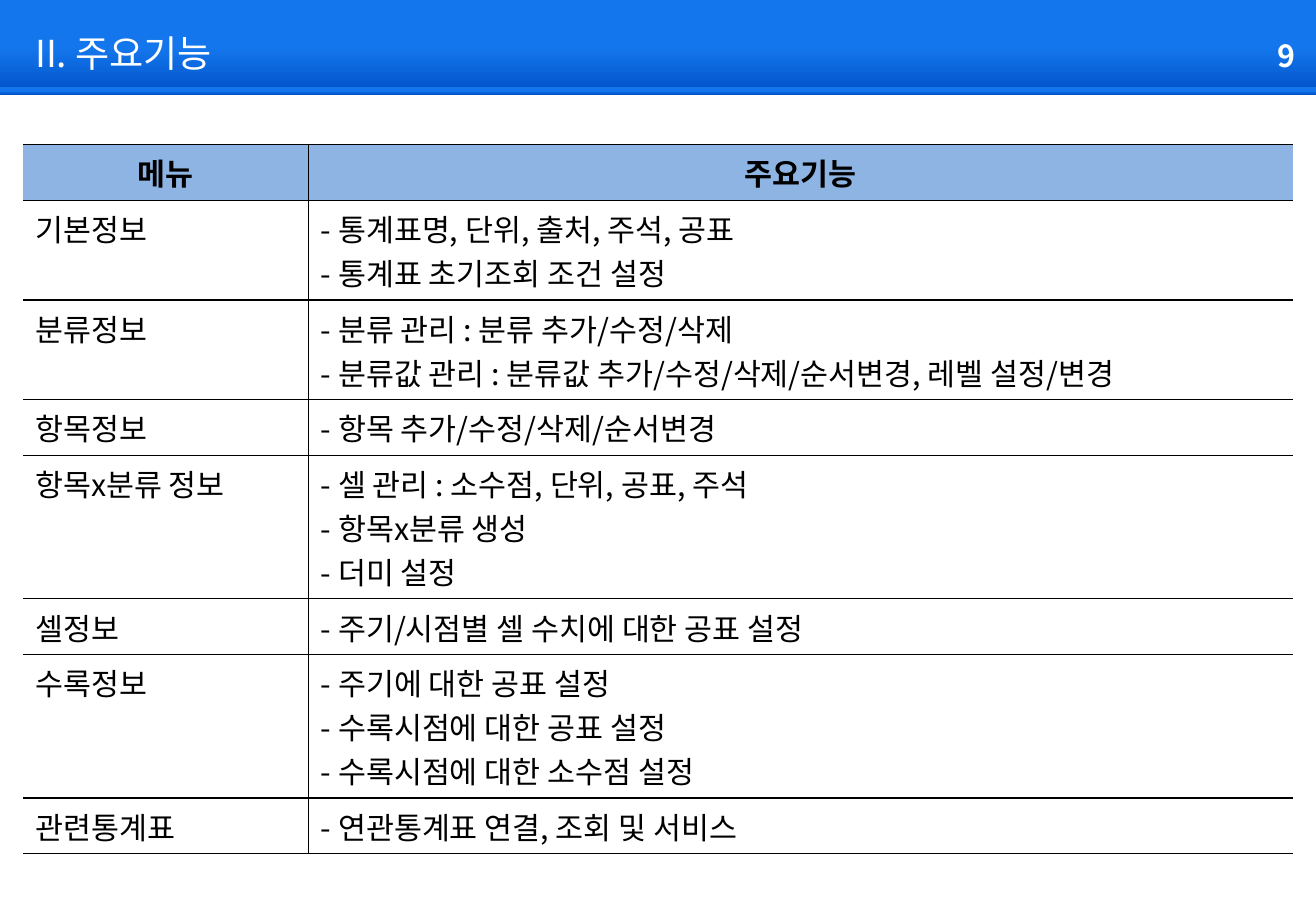
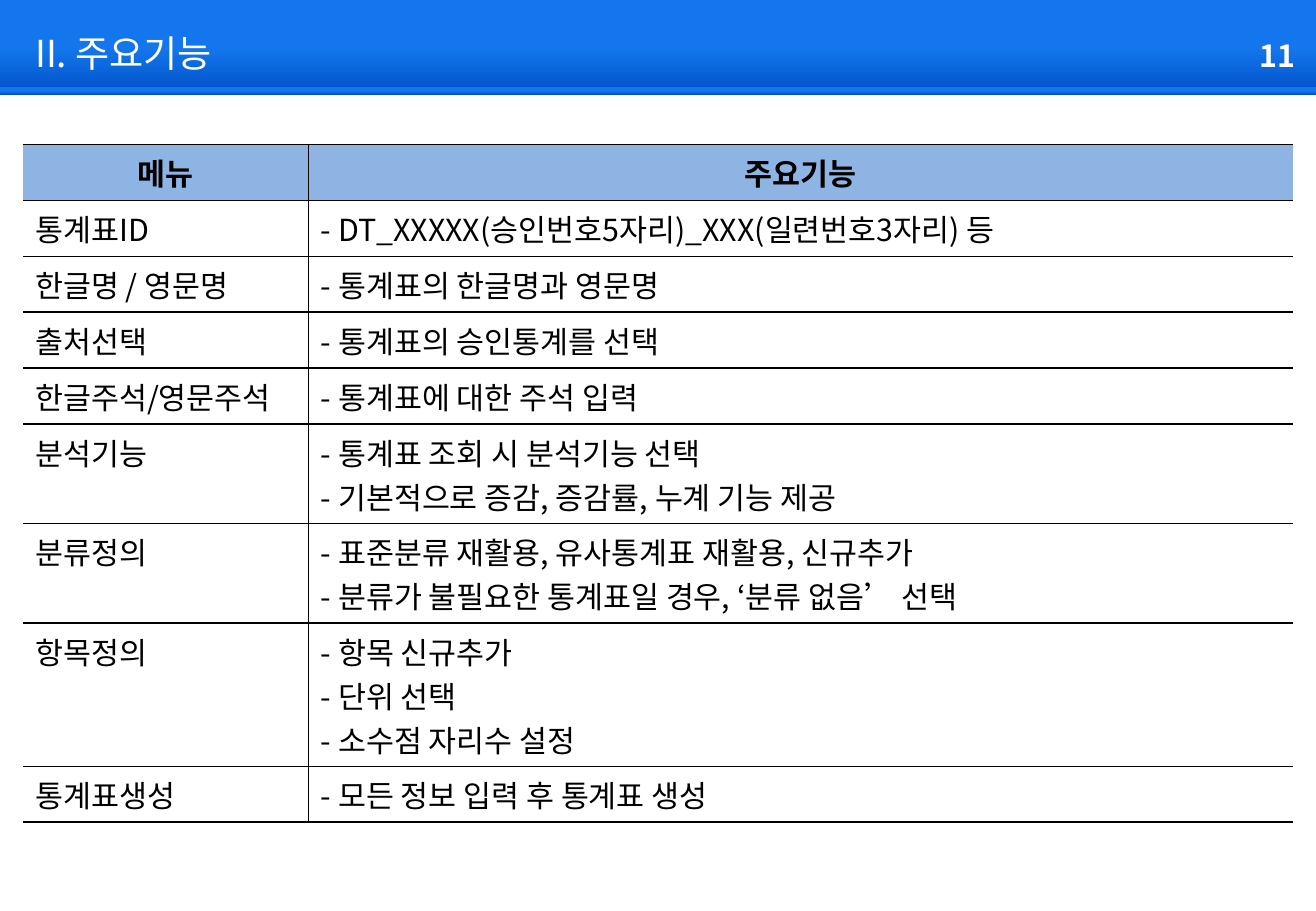
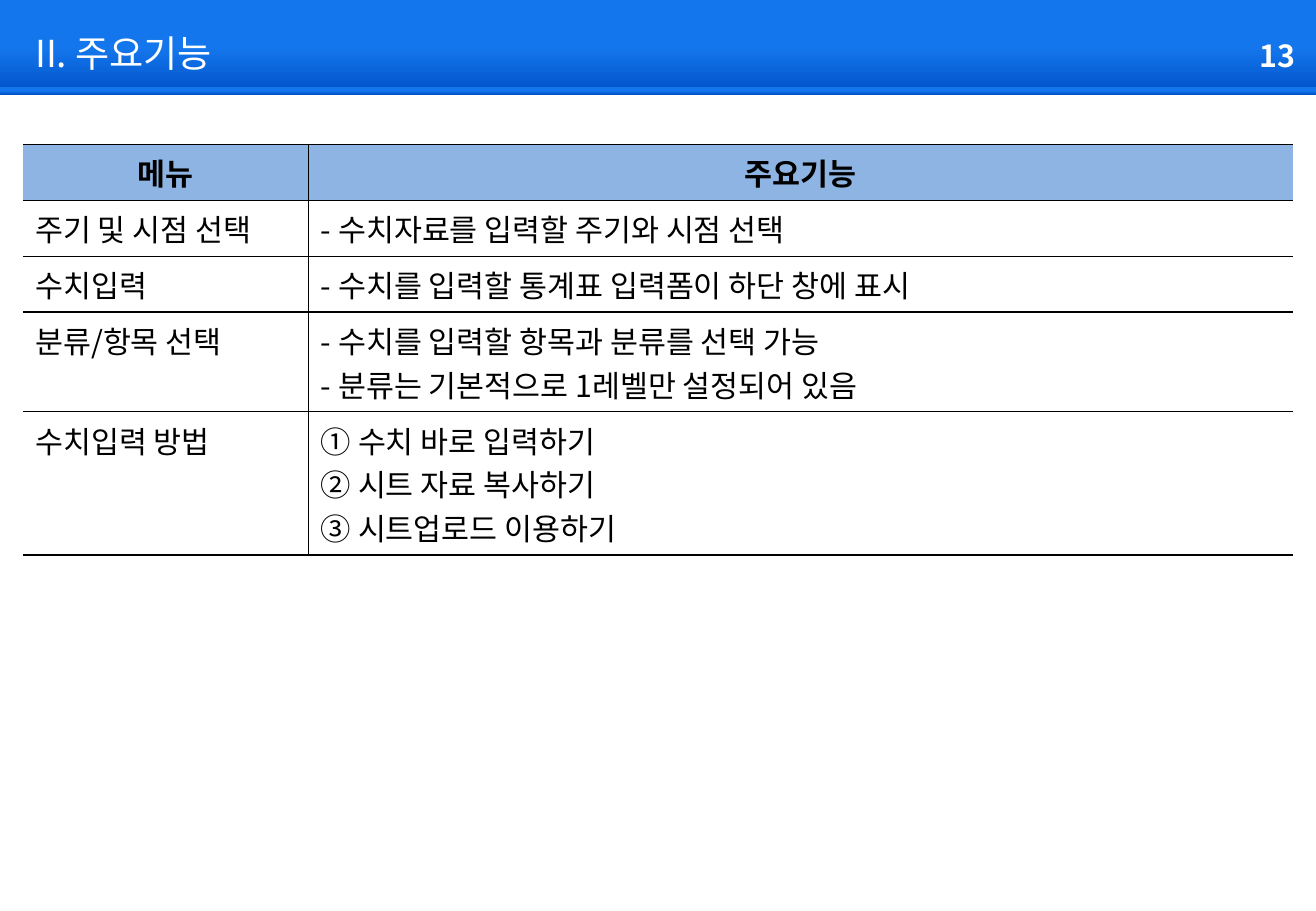
from copy import deepcopy
from dataclasses import dataclass

from lxml.etree import SubElement
from pptx import Presentation
from pptx.dml.color import RGBColor
from pptx.enum.shapes import MSO_SHAPE
from pptx.enum.text import MSO_ANCHOR, PP_ALIGN
from pptx.oxml.ns import qn
from pptx.slide import Slide, SlideLayout
from pptx.table import _Cell
from pptx.text.text import TextFrame
from pptx.util import Emu, Pt

EMU_PER_PX = 9144  # 100 px to the inch
SLIDE_WIDTH, SLIDE_HEIGHT = 1083, 750

BAND_BLUE = RGBColor(0x14, 0x76, 0xEC)
BAND_DARK = RGBColor(0x00, 0x51, 0xC8)
HEADER_BLUE = RGBColor(0x8E, 0xB4, 0xE3)
BLACK = RGBColor(0x00, 0x00, 0x00)
WHITE = RGBColor(0xFF, 0xFF, 0xFF)

FONT = "Noto Sans CJK KR"
TITLE = "II. 주요기능"
HEADINGS = ("메뉴", "주요기능")
TABLE_LEFT, TABLE_TOP = 19, 119
COLUMN_WIDTHS = (235, 810)
LINE_HEIGHT, CELL_PADDING = 36, 10


@dataclass(frozen=True)
class Band:
    top: int
    height: int


@dataclass(frozen=True)
class Menu:
    name: str
    features: tuple[str, ...]


@dataclass(frozen=True)
class FeaturePage:
    number: int
    menus: tuple[Menu, ...]


BANDS = (Band(0, 78), Band(72, 6))

PAGES = (
    FeaturePage(9, (
        Menu("기본정보", ("- 통계표명, 단위, 출처, 주석, 공표",
                      "- 통계표 초기조회 조건 설정")),
        Menu("분류정보", ("- 분류 관리 : 분류 추가/수정/삭제",
                      "- 분류값 관리 : 분류값 추가/수정/삭제/순서변경, 레벨 설정/변경")),
        Menu("항목정보", ("- 항목 추가/수정/삭제/순서변경",)),
        Menu("항목x분류 정보", ("- 셀 관리 : 소수점, 단위, 공표, 주석",
                          "- 항목x분류 생성",
                          "- 더미 설정")),
        Menu("셀정보", ("- 주기/시점별 셀 수치에 대한 공표 설정",)),
        Menu("수록정보", ("- 주기에 대한 공표 설정",
                      "- 수록시점에 대한 공표 설정",
                      "- 수록시점에 대한 소수점 설정")),
        Menu("관련통계표", ("- 연관통계표 연결, 조회 및 서비스",)),
    )),
    FeaturePage(11, (
        Menu("통계표ID", ("- DT_XXXXX(승인번호5자리)_XXX(일련번호3자리) 등",)),
        Menu("한글명 / 영문명", ("- 통계표의 한글명과 영문명",)),
        Menu("출처선택", ("- 통계표의 승인통계를 선택",)),
        Menu("한글주석/영문주석", ("- 통계표에 대한 주석 입력",)),
        Menu("분석기능", ("- 통계표 조회 시 분석기능 선택",
                      "- 기본적으로 증감, 증감률, 누계 기능 제공")),
        Menu("분류정의", ("- 표준분류 재활용, 유사통계표 재활용, 신규추가",
                      "- 분류가 불필요한 통계표일 경우, ‘분류 없음’ 선택")),
        Menu("항목정의", ("- 항목 신규추가",
                      "- 단위 선택",
                      "- 소수점 자리수 설정")),
        Menu("통계표생성", ("- 모든 정보 입력 후 통계표 생성",)),
    )),
    FeaturePage(13, (
        Menu("주기 및 시점 선택", ("- 수치자료를 입력할 주기와 시점 선택",)),
        Menu("수치입력", ("- 수치를 입력할 통계표 입력폼이 하단 창에 표시",)),
        Menu("분류/항목 선택", ("- 수치를 입력할 항목과 분류를 선택 가능",
                          "- 분류는 기본적으로 1레벨만 설정되어 있음")),
        Menu("수치입력 방법", ("① 수치 바로 입력하기",
                         "② 시트 자료 복사하기",
                         "③ 시트업로드 이용하기")),
    )),
)


def px(length: int) -> Emu:
    return Emu(length * EMU_PER_PX)


def write(frame: TextFrame, *lines: str, size: int = 18, color: RGBColor = BLACK,
          bold: bool = False, align: PP_ALIGN = PP_ALIGN.LEFT) -> None:
    for index, line in enumerate(lines):
        paragraph = frame.add_paragraph() if index else frame.paragraphs[0]
        paragraph.alignment = align
        run = paragraph.add_run()
        run.text = line
        run.font.size = Pt(size)
        run.font.bold = bold
        run.font.color.rgb = color
        run.font.name = FONT
        SubElement(run.font._element, qn("a:ea"), typeface=FONT)


def add_bands(slide: Slide, layout: SlideLayout) -> None:
    """Draw the top bands and move them to the layout, behind every slide."""
    for index, band in enumerate(BANDS):
        bar = slide.shapes.add_shape(MSO_SHAPE.RECTANGLE, px(0), px(band.top),
                                     px(SLIDE_WIDTH), px(band.height))
        bar.shadow.inherit = False
        bar.line.fill.background()
        bar.fill.gradient()
        bar.fill.gradient_angle = 270
        first = bar.fill.gradient_stops[0]._gs
        first.addnext(deepcopy(first))
        for stop, position, color in zip(bar.fill.gradient_stops, (0, 0.5, 1),
                                         (BAND_BLUE, BAND_BLUE, BAND_DARK)):
            stop.position = position
            stop.color.rgb = color
        bar._element.nvSpPr.cNvPr.set("id", str(100 + index))
        layout.shapes._spTree.append(bar._element)


def add_heading(slide: Slide, number: int) -> None:
    title = slide.shapes.title
    title.left, title.top, title.width, title.height = map(px, (19, 19, 645, 48))
    title.text_frame.vertical_anchor = MSO_ANCHOR.MIDDLE
    write(title.text_frame, TITLE, size=22, color=WHITE)

    page_number = slide.shapes.add_textbox(*map(px, (1014, 26, 62, 40))).text_frame
    page_number.word_wrap = True
    write(page_number, str(number), color=WHITE, bold=True, align=PP_ALIGN.RIGHT)


def set_borders(cell: _Cell, drawn: str) -> None:
    """Draw a 1 pt line on the named sides (L, R, T, B) and none on the others."""
    properties = cell._tc.get_or_add_tcPr()
    for side in "LRTB":
        line = SubElement(properties, qn(f"a:ln{side}"), w=str(Pt(1)))
        if side in drawn:
            fill = SubElement(line, qn("a:solidFill"))
            SubElement(fill, qn("a:srgbClr"), val=str(BLACK))
        else:
            SubElement(line, qn("a:noFill"))


def add_feature_table(slide: Slide, menus: tuple[Menu, ...]) -> None:
    heights = [CELL_PADDING + LINE_HEIGHT * lines
               for lines in (1, *(len(menu.features) for menu in menus))]
    table = slide.shapes.add_table(
        len(heights), len(COLUMN_WIDTHS), px(TABLE_LEFT), px(TABLE_TOP),
        px(sum(COLUMN_WIDTHS)), px(sum(heights))).table
    table.first_row = table.horz_banding = False
    for column, width in zip(table.columns, COLUMN_WIDTHS):
        column.width = px(width)
    for row, height in zip(table.rows, heights):
        row.height = px(height)
        for cell, sides in zip(row.cells, ("RTB", "LTB")):
            set_borders(cell, sides)
            cell.fill.background()

    for cell, heading in zip(table.rows[0].cells, HEADINGS):
        cell.fill.solid()
        cell.fill.fore_color.rgb = HEADER_BLUE
        write(cell.text_frame, heading, bold=True, align=PP_ALIGN.CENTER)
    for index, menu in enumerate(menus, start=1):
        write(table.cell(index, 0).text_frame, menu.name)
        write(table.cell(index, 1).text_frame, *menu.features)


def main() -> None:
    deck = Presentation()
    deck.slide_width, deck.slide_height = px(SLIDE_WIDTH), px(SLIDE_HEIGHT)
    title_only = deck.slide_layouts[5]
    for index, page in enumerate(PAGES):
        slide = deck.slides.add_slide(title_only)
        if index == 0:
            add_bands(slide, title_only)
        add_heading(slide, page.number)
        add_feature_table(slide, page.menus)
    deck.save("out.pptx")


if __name__ == "__main__":
    main()
